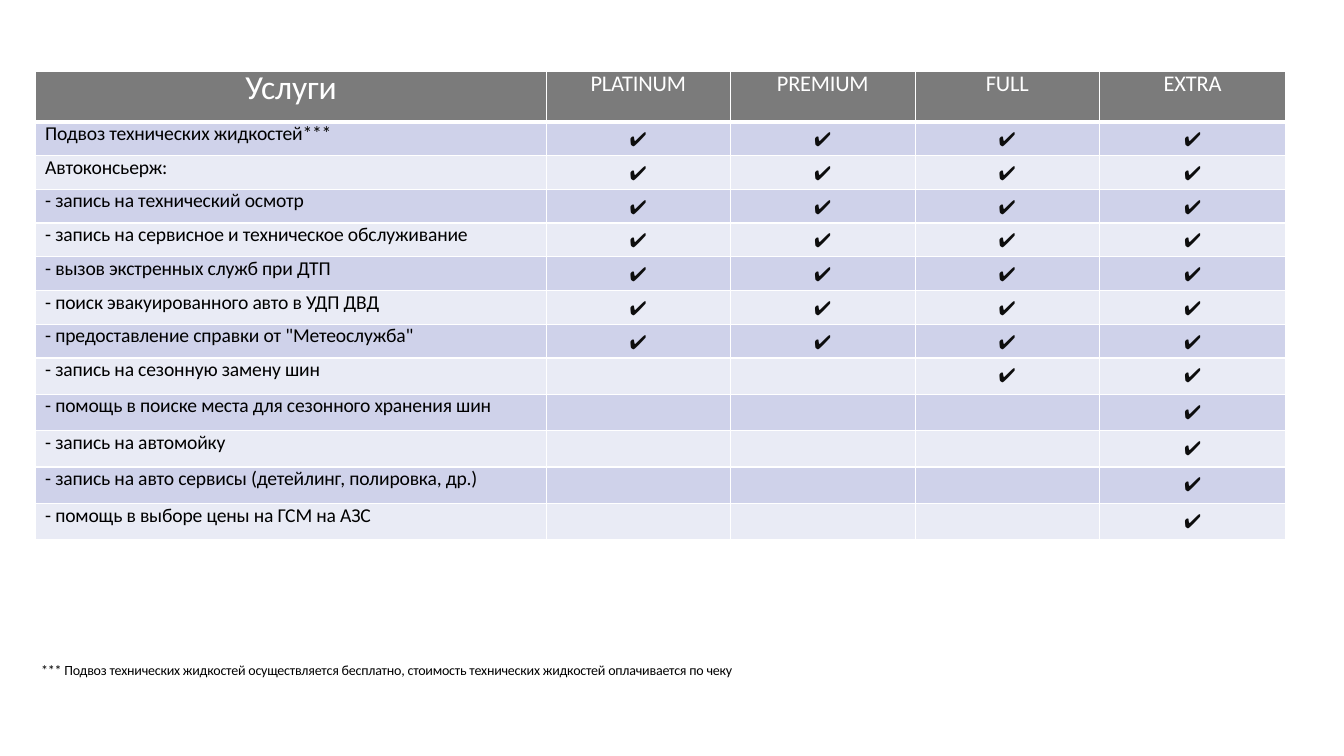
from lxml.etree import SubElement as Sub
from pptx import Presentation
from pptx.dml.color import RGBColor as Rgb
from pptx.enum.text import MSO_ANCHOR as Anchor, PP_ALIGN as Align
from pptx.oxml.ns import qn
from pptx.util import Cm, Pt

WHITE = Rgb(0xFF, 0xFF, 0xFF)
BLACK = Rgb(0, 0, 0)
INK = Rgb(0x0D, 0x0D, 0x0D)
GRAY = Rgb(0x7B, 0x7B, 0x7B)
LILAC = Rgb(0xCF, 0xD2, 0xEA)
PALE = Rgb(0xE9, 0xEB, 0xF5)

PLANS = ["PLATINUM", "PREMIUM", "FULL", "EXTRA"]
WIDTHS = [12.87, 4.63, 4.67, 4.63, 4.71]
HEAD_H, ROW_H = 1.27, 0.85

# Each service with the number of plans, counted from the right, that include it
SERVICES = [
    ("Подвоз технических жидкостей***", 4),
    ("Автоконсьерж:", 4),
    ("- запись на технический осмотр", 4),
    ("- запись на сервисное и техническое обслуживание", 4),
    ("- вызов экстренных служб при ДТП", 4),
    ("- поиск эвакуированного авто в УДП ДВД", 4),
    ("- предоставление справки от \"Метеослужба\"", 4),
    ("- запись на сезонную замену шин", 2),
    ("- помощь в поиске места для сезонного хранения шин", 1),
    ("- запись на автомойку", 1),
    ("- запись на авто сервисы (детейлинг, полировка, др.)", 1),
    ("- помощь в выборе цены на ГСМ на АЗС", 1),
]
NOTE = ("*** Подвоз технических жидкостей осуществляется бесплатно, "
        "стоимость технических жидкостей оплачивается по чеку")


class Board:
    """Holds the style and the current slide."""

    face, mark = "Calibri", "Lato"

    def __init__(self, deck):
        self.slide = deck.slides.add_slide(deck.slide_layouts[6])

    def label(self, frame, text, size, color, face=face, align=Align.LEFT,
              gap=0.0, line=None):
        frame.text = text
        para = frame.paragraphs[0]
        para.alignment = align
        if line:
            para.line_spacing = Pt(line)
        for run in para.runs:
            font = run.font
            font.name, font.size, font.bold = face, Pt(size), False
            font.color.rgb = color
            run._r.get_or_add_rPr().set("spc", str(round(gap * 100)))

    def border(self, cell, top, bottom):
        props = cell._tc.get_or_add_tcPr()
        for side, width in zip("LRTB", (1, 1, top, bottom)):
            edge = Sub(props, qn(f"a:ln{side}"), w=str(Pt(width)))
            fill = Sub(edge, qn("a:solidFill"))
            Sub(fill, qn("a:srgbClr"), val=str(WHITE))

    def cell(self, cell, fill, left=0.0, top=0.0, edges=(1, 1)):
        cell.margin_left, cell.margin_top = Cm(left), Cm(top)
        cell.margin_right = cell.margin_bottom = 0
        cell.vertical_anchor = Anchor.TOP
        self.border(cell, *edges)
        cell.fill.solid()
        cell.fill.fore_color.rgb = fill

    def table(self, left, top):
        rows = len(SERVICES) + 1
        grid = self.slide.shapes.add_table(
            rows, len(WIDTHS), Cm(left), Cm(top), Cm(sum(WIDTHS)),
            Cm(HEAD_H + ROW_H * len(SERVICES))).table
        for col, width in zip(grid.columns, WIDTHS):
            col.width = Cm(width)
        for i, row in enumerate(grid.rows):
            row.height = Cm(ROW_H if i else HEAD_H)

        # Header
        for i, name in enumerate(["Услуги"] + PLANS):
            cell = grid.cell(0, i)
            self.cell(cell, GRAY, edges=(1, 3))
            size, line = (16, 18.8) if i else (24, 26.6)
            self.label(cell.text_frame, name, size, WHITE,
                       align=Align.CENTER, gap=-0.1, line=line)

        # Services and ticks
        for i, (name, count) in enumerate(SERVICES, 1):
            fill = LILAC if i % 2 else PALE
            edges = (3 if i == 1 else 1, 1)
            first = grid.cell(i, 0)
            self.cell(first, fill, left=0.24, edges=edges)
            self.label(first.text_frame, name, 14, BLACK, gap=-0.15)
            for j in range(1, len(WIDTHS)):
                cell = grid.cell(i, j)
                self.cell(cell, fill, top=0.14, edges=edges)
                if j > len(PLANS) - count:
                    self.label(cell.text_frame, "✔", 14, INK, self.mark,
                               Align.CENTER, -0.5)

    def note(self, text, left, top, width, height):
        box = self.slide.shapes.add_textbox(
            Cm(left), Cm(top), Cm(width), Cm(height))
        frame = box.text_frame
        frame.word_wrap = True
        frame.margin_left = frame.margin_right = frame.margin_bottom = 0
        frame.margin_top = Cm(0.06)
        self.label(frame, text, 10, BLACK, gap=-0.15)


def main():
    deck = Presentation()
    deck.slide_width, deck.slide_height = Cm(33.87), Cm(19.05)
    board = Board(deck)
    board.table(0.9, 1.8)
    board.note(NOTE, 1.04, 16.61, 17.88, 0.48)
    deck.save("out.pptx")


if __name__ == "__main__":
    main()
